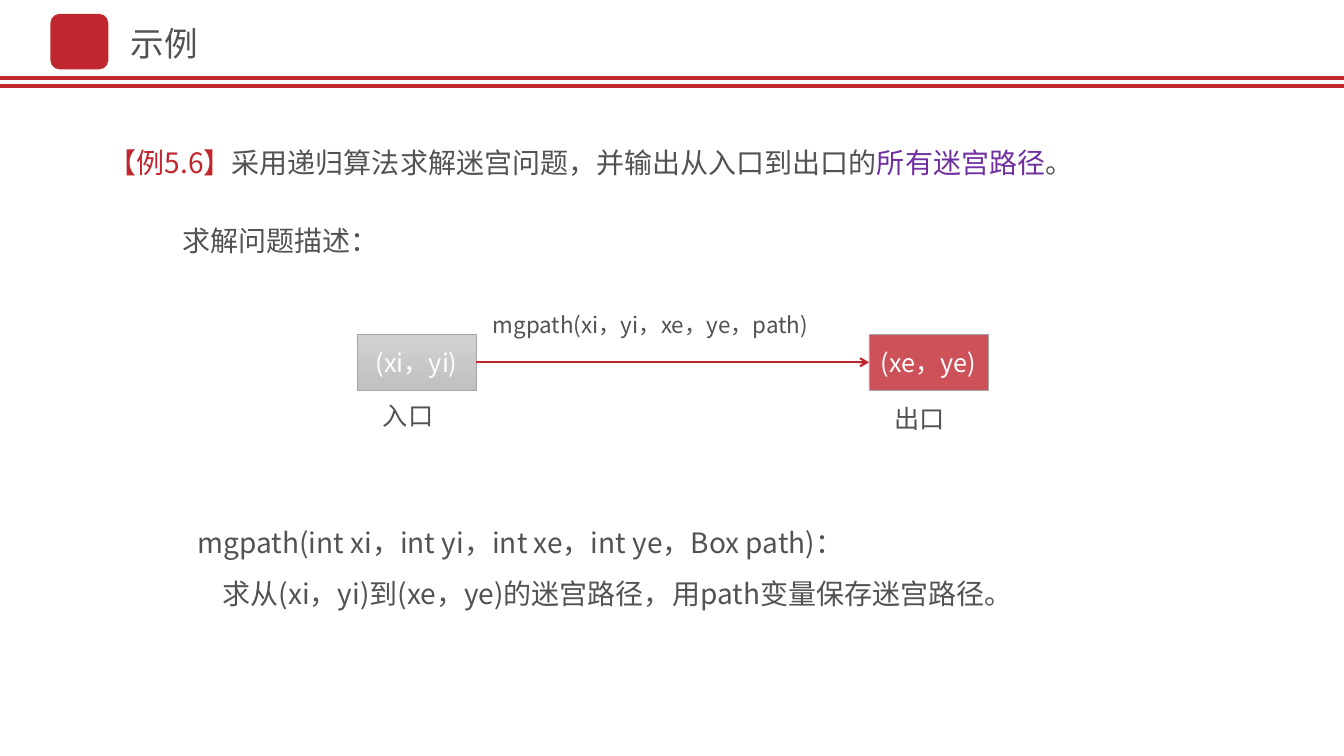
"""Build the slide that describes the recursive maze path problem."""
from dataclasses import dataclass

from lxml.etree import SubElement
from pptx import Presentation
from pptx.dml.color import RGBColor
from pptx.enum.shapes import MSO_CONNECTOR, MSO_SHAPE
from pptx.enum.text import MSO_ANCHOR, MSO_AUTO_SIZE, PP_ALIGN
from pptx.oxml.ns import qn
from pptx.shapes.autoshape import Shape
from pptx.shapes.connector import Connector
from pptx.slide import Slide
from pptx.text.text import _Paragraph as Paragraph
from pptx.util import Cm, Pt

FONT = "Noto Sans CJK SC"
COLORS = {
    "red": "C0262E",
    "text": "525252",
    "purple": "7030A0",
    "white": "FFFFFF",
    "exit": "CD5158",
    "border": "A5A5A5",
    "entry_top": "D2D2D2",
    "entry_bottom": "C0C0C0",
}
SLIDE_WIDTH, SLIDE_HEIGHT = 33.87, 19.05
CELL_TOP, CELL_WIDTH, CELL_HEIGHT = 8.43, 3.0, 1.4


@dataclass(frozen=True)
class Span:
    text: str
    color: str = "text"


@dataclass(frozen=True)
class Line:
    spans: tuple[Span, ...]
    indent: float = 0


@dataclass(frozen=True)
class TextBlock:
    left: float
    top: float
    width: float
    height: float
    size: int
    lines: tuple[Line, ...]
    spacing: float = 1
    wrap: bool = True
    anchor: MSO_ANCHOR = MSO_ANCHOR.TOP


@dataclass(frozen=True)
class Cell:
    left: float
    text: str
    fills: tuple[str, ...]


def plain(text: str, indent: float = 0) -> Line:
    """Return a line with a single span in the body colour."""
    return Line((Span(text),), indent)


TEXT_BLOCKS = (
    TextBlock(3.05, 0.46, 2.21, 1.27, 24, (plain("示例"),), wrap=False, anchor=MSO_ANCHOR.MIDDLE),
    TextBlock(2.49, 2.69, 26.9, 1.96, 20, (
        Line((
            Span("【例5.6】", "red"),
            Span("采用递归算法求解迷宫问题，并输出从入口到出口的"),
            Span("所有迷宫路径", "purple"),
            Span("。"),
        )),
    ), spacing=2),
    TextBlock(4.34, 5.51, 5.36, 1.12, 20, (plain("求解问题描述："),)),
    TextBlock(12.17, 7.72, 9.73, 0.94, 16, (plain("mgpath(xi，yi，xe，ye，path)"),)),
    TextBlock(9.4, 9.96, 2.39, 1.02, 18, (plain("入口"),)),
    TextBlock(22.3, 10.03, 2.39, 1.02, 18, (plain("出口"),)),
    TextBlock(4.57, 12.7, 24.33, 2.82, 20, (
        plain("mgpath(int xi，int yi，int xe，int ye，Box path)：", 0.16),
        plain("求从(xi，yi)到(xe，ye)的迷宫路径，用path变量保存迷宫路径。", 0.79),
    ), spacing=1.5),
)
ENTRY = Cell(9.0, "(xi，yi)", ("entry_top", "entry_bottom"))
EXIT = Cell(21.9, "(xe，ye)", ("exit",))


def rgb(name: str) -> RGBColor:
    """Return a named colour."""
    return RGBColor.from_string(COLORS[name])


def add_span(paragraph: Paragraph, span: Span, size: int) -> None:
    """Append one formatted run to a paragraph."""
    run = paragraph.add_run()
    run.text = span.text
    run.font.size = Pt(size)
    run.font.name = FONT
    run.font.color.rgb = rgb(span.color)
    SubElement(run.font._element, qn("a:ea")).set("typeface", FONT)


def add_text(slide: Slide, block: TextBlock) -> None:
    """Draw a text box."""
    shape = slide.shapes.add_textbox(Cm(block.left), Cm(block.top), Cm(block.width), Cm(block.height))
    frame = shape.text_frame
    frame.word_wrap = block.wrap
    frame.auto_size = MSO_AUTO_SIZE.SHAPE_TO_FIT_TEXT
    frame.vertical_anchor = block.anchor
    for index, line in enumerate(block.lines):
        paragraph = frame.add_paragraph() if index else frame.paragraphs[0]
        paragraph.line_spacing = block.spacing
        if line.indent:
            paragraph._p.get_or_add_pPr().set("marL", str(Cm(line.indent)))
        for span in line.spans:
            add_span(paragraph, span, block.size)


def add_cell(slide: Slide, cell: Cell) -> Shape:
    """Draw a maze cell with a solid or gradient fill."""
    shape = slide.shapes.add_shape(
        MSO_SHAPE.RECTANGLE, Cm(cell.left), Cm(CELL_TOP), Cm(CELL_WIDTH), Cm(CELL_HEIGHT)
    )
    shape.shadow.inherit = False
    if len(cell.fills) > 1:
        shape.fill.gradient()
        shape.fill.gradient_angle = 270
        for stop, name in zip(shape.fill.gradient_stops, cell.fills):
            stop.color.rgb = rgb(name)
    else:
        shape.fill.solid()
        shape.fill.fore_color.rgb = rgb(cell.fills[0])
    shape.line.color.rgb = rgb("border")
    shape.line.width = Pt(0.5)
    frame = shape.text_frame
    frame.word_wrap = False
    frame.vertical_anchor = MSO_ANCHOR.MIDDLE
    paragraph = frame.paragraphs[0]
    paragraph.alignment = PP_ALIGN.CENTER
    add_span(paragraph, Span(cell.text, "white"), 18)
    return shape


def add_line(slide: Slide, left: float, right: float, top: float, width: float) -> Connector:
    """Draw a horizontal red line."""
    connector = slide.shapes.add_connector(
        MSO_CONNECTOR.STRAIGHT, Cm(left), Cm(top), Cm(right), Cm(top)
    )
    connector.line.color.rgb = rgb("red")
    connector.line.width = Pt(width)
    SubElement(connector._element.spPr, qn("a:effectLst"))
    return connector


def add_header(slide: Slide) -> None:
    """Draw the double rule and the plain header mark."""
    for top in (1.96, 2.16):
        add_line(slide, 0, SLIDE_WIDTH, top, 3)
    mark = slide.shapes.add_shape(MSO_SHAPE.ROUNDED_RECTANGLE, Cm(1.27), Cm(0.35), Cm(1.46), Cm(1.4))
    mark.shadow.inherit = False
    mark.fill.solid()
    mark.fill.fore_color.rgb = rgb("red")
    mark.line.fill.background()


def add_path(slide: Slide) -> None:
    """Draw the entry and exit cells and the arrow that joins them."""
    entry, maze_exit = add_cell(slide, ENTRY), add_cell(slide, EXIT)
    arrow = add_line(slide, ENTRY.left + CELL_WIDTH, EXIT.left, CELL_TOP + CELL_HEIGHT / 2, 1.5)
    arrow.begin_connect(entry, 3)
    arrow.end_connect(maze_exit, 1)
    SubElement(arrow.line._get_or_add_ln(), qn("a:tailEnd")).set("type", "arrow")


def main() -> None:
    """Create and save the presentation."""
    presentation = Presentation()
    presentation.slide_width, presentation.slide_height = Cm(SLIDE_WIDTH), Cm(SLIDE_HEIGHT)
    slide = presentation.slides.add_slide(presentation.slide_layouts[6])
    add_header(slide)
    add_path(slide)
    for block in TEXT_BLOCKS:
        add_text(slide, block)
    presentation.save("out.pptx")


if __name__ == "__main__":
    main()
